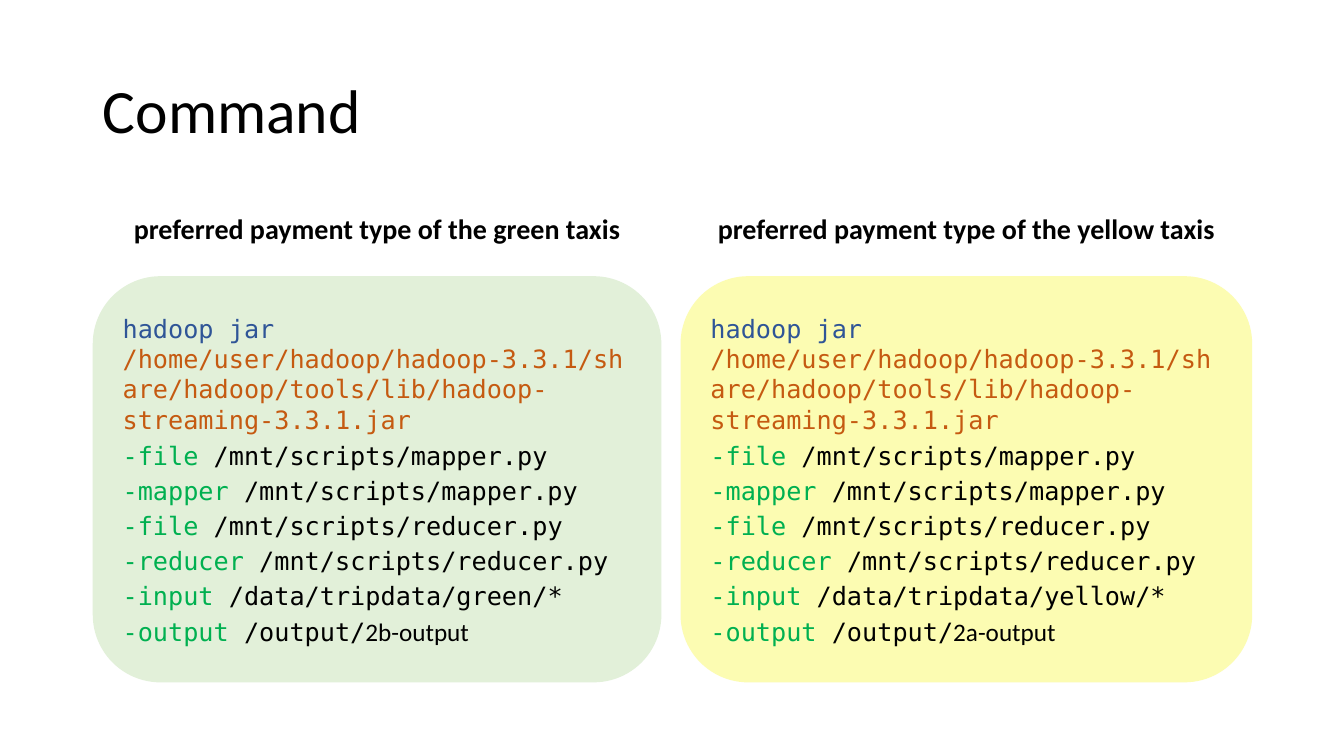
from typing import NamedTuple

import pptx
import pptx.dml.color
import pptx.enum.text
import pptx.oxml
import pptx.util
from lxml import etree
from pptx.enum.text import MSO_ANCHOR, MSO_AUTO_SIZE, PP_ALIGN
from pptx.util import Inches, Pt

SANS, MONO = "Calibri", "DejaVu Sans Mono"
BLACK, BLUE, ORANGE, GREEN = "000000", "2F5597", "C55A11", "00B050"
A_NS = "http://schemas.openxmlformats.org/drawingml/2006/main"
JAR = "/home/user/hadoop/hadoop-3.3.1/share/hadoop/tools/lib/hadoop-streaming-3.3.1.jar"
MAPPER, REDUCER = "/mnt/scripts/mapper.py", "/mnt/scripts/reducer.py"


class Job(NamedTuple):
    taxi: str
    output: str
    left: float
    width: float
    fill: str
    heading_idx: int
    command_idx: int


JOBS = [
    Job("green", "2b-output", 0.92, 5.64, "E2F0D9", 1, 2),
    Job("yellow", "2a-output", 6.75, 5.67, "FCFCB2", 3, 4),
]


def rgb(value: str) -> pptx.dml.color.RGBColor:
    return pptx.dml.color.RGBColor.from_string(value)


def place(sp, left: float, top: float, width: float, height: float):
    sp.left, sp.top = Inches(left), Inches(top)
    sp.width, sp.height = Inches(width), Inches(height)
    tf = sp.text_frame
    tf.word_wrap = True
    tf.auto_size = MSO_AUTO_SIZE.NONE
    tf.vertical_anchor = MSO_ANCHOR.MIDDLE
    return tf


def add_paragraph(tf, spacing: float, align=PP_ALIGN.LEFT):
    """Start an unbulleted paragraph, reusing the empty first one."""
    first = not tf.paragraphs[0].runs
    p = tf.paragraphs[0] if first else tf.add_paragraph()
    p.alignment = align
    p.line_spacing = spacing
    p.space_before = Pt(0 if first else 10)
    pPr = p._p.get_or_add_pPr()
    pPr.set("marL", "0")
    pPr.set("indent", "0")
    etree.SubElement(pPr, f"{{{A_NS}}}buNone")
    return p


def add_text(p, text: str, *, size: float = 18, color: str = BLACK,
             font: str = MONO, bold: bool = False) -> None:
    r = p.add_run()
    r.text = text
    r.font.size = Pt(size)
    r.font.name = font
    r.font.bold = bold
    r.font.color.rgb = rgb(color)


def round_corners(sp) -> None:
    geom = etree.SubElement(sp._element.spPr, f"{{{A_NS}}}prstGeom", prst="roundRect")
    etree.SubElement(geom, f"{{{A_NS}}}avLst")


def draw_job(s, job: Job) -> None:
    """Draw one heading and its rounded command panel."""
    tf = place(s.placeholders[job.heading_idx], job.left, 1.84, job.width, 0.9)
    add_text(add_paragraph(tf, 0.9, PP_ALIGN.CENTER),
             f"preferred payment type of the {job.taxi} taxis",
             size=20, font=SANS, bold=True)

    sp = s.placeholders[job.command_idx]
    tf = place(sp, job.left, 2.74, job.width, 4.03)
    round_corners(sp)
    sp.fill.solid()
    sp.fill.fore_color.rgb = rgb(job.fill)

    p = add_paragraph(tf, 1.0)
    add_text(p, "hadoop jar ", color=BLUE)
    add_text(p, JAR, color=ORANGE)
    options = [
        ("-file ", MAPPER),
        ("-mapper ", MAPPER),
        ("-file ", REDUCER),
        ("-reducer ", REDUCER),
        ("-input ", f"/data/tripdata/{job.taxi}/*"),
        ("-output ", "/output/"),
    ]
    for flag, value in options:
        p = add_paragraph(tf, 0.7)
        add_text(p, flag, color=GREEN)
        add_text(p, value)
    add_text(p, job.output, font=SANS)


def main() -> None:
    prs = pptx.Presentation()
    prs.slide_width, prs.slide_height = Inches(13.33), Inches(7.5)
    s = prs.slides.add_slide(prs.slide_layouts.get_by_name("Comparison"))
    tf = place(s.shapes.title, 0.92, 0.4, 11.5, 1.45)
    add_text(add_paragraph(tf, 0.9), "Command", size=44, font=SANS)
    for job in JOBS:
        draw_job(s, job)
    prs.save("out.pptx")


if __name__ == "__main__":
    main()
